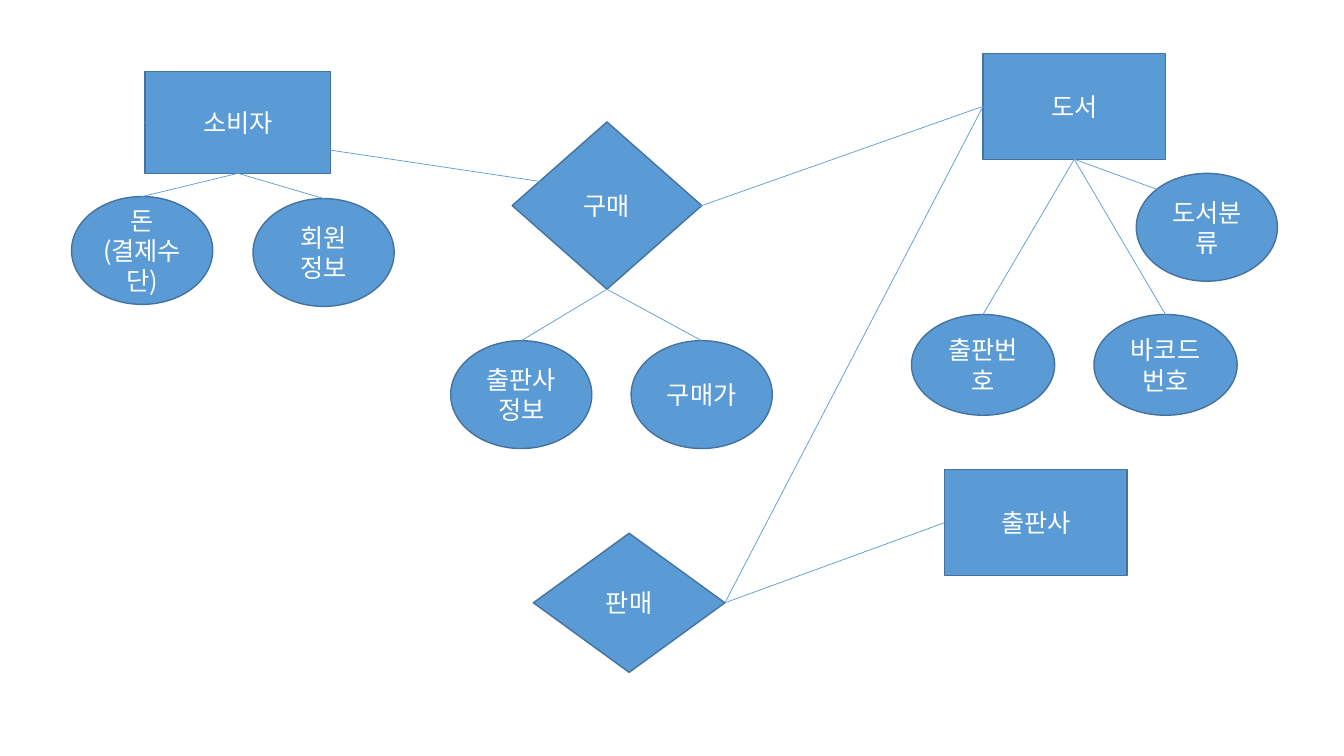
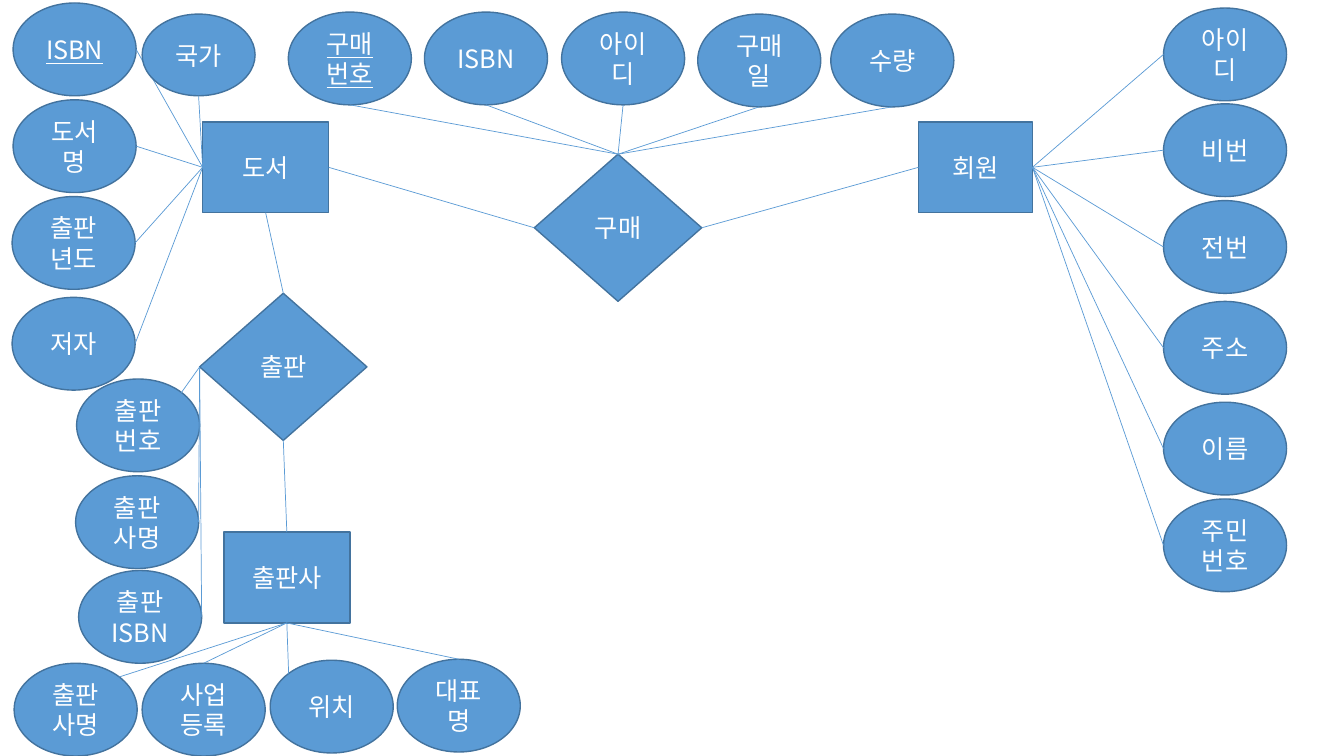
from dataclasses import dataclass
from enum import Enum

from lxml import etree
from pptx import Presentation
from pptx import util as u
from pptx.dml import color
from pptx.enum import lang, shapes, text
from pptx.oxml import ns

FONT = "Noto Sans CJK KR"
BLUE, EDGE, WHITE = "5B9BD5", "43739E", "FFFFFF"
RECT = shapes.MSO_SHAPE.RECTANGLE
OVAL = shapes.MSO_SHAPE.OVAL
GEM = shapes.MSO_SHAPE.DIAMOND
NEAR, FAR = 0.15, 0.85


class Side(Enum):
    """Point on a node's edge, as shares of its width and height."""
    TOP = (0.5, 0)
    LEFT = (0, 0.5)
    BASE = (0.5, 1)
    RIGHT = (1, 0.5)
    TOP_LEFT = (NEAR, NEAR)
    TOP_RIGHT = (FAR, NEAR)


SITES = [Side.TOP, Side.LEFT, Side.BASE, Side.RIGHT]


@dataclass
class Node:
    """An entity, a relation or an attribute."""
    label: str
    x: float
    y: float
    w: float = 1.22
    h: float = 0.92
    form: shapes.MSO_SHAPE = OVAL
    key: bool = False
    shape: object = None

    def spot(self, side: Side) -> tuple:
        """Return the point at a side of the node."""
        across, down = side.value
        return u.Inches(self.x + across * self.w), u.Inches(self.y + down * self.h)


@dataclass
class Leaf:
    """An attribute and the side where its link ends."""
    node: Node
    side: Side


def paint(fmt, code: str) -> None:
    """Give a fill a solid colour."""
    fmt.solid()
    fmt.fore_color.rgb = color.RGBColor.from_string(code)


def write(para, label: str, key: bool) -> None:
    """Add one centred run; a key is underlined."""
    para.alignment = text.PP_ALIGN.CENTER
    run = para.add_run()
    run.text = label
    font = run.font
    font.name, font.size = FONT, u.Pt(18)
    font.language_id = lang.MSO_LANGUAGE_ID.KOREAN
    if key:
        font.underline = True
    paint(font.fill, WHITE)
    east = etree.SubElement(run._r.get_or_add_rPr(), ns.qn("a:ea"))
    east.set("typeface", FONT)


def draw(slide, node: Node) -> None:
    """Draw a node with its label."""
    shape = slide.shapes.add_shape(
        node.form, *map(u.Inches, (node.x, node.y, node.w, node.h)))
    shape.shadow.inherit = False
    paint(shape.fill, BLUE)
    paint(shape.line.fill, EDGE)
    shape.line.width = u.Pt(1)
    frame = shape.text_frame
    frame.word_wrap = True
    frame.vertical_anchor = text.MSO_ANCHOR.MIDDLE
    for i, label in enumerate(node.label.split("\n")):
        para = frame.add_paragraph() if i else frame.paragraphs[0]
        write(para, label, node.key)
    node.shape = shape


def link(slide, start: Node, out: Side, end: Node, into: Side) -> None:
    """Join two nodes, glued where the end is an entity or a relation."""
    line = slide.shapes.add_connector(
        shapes.MSO_CONNECTOR.STRAIGHT, *start.spot(out), *end.spot(into))
    line.begin_connect(start.shape, SITES.index(out))
    if end.form != OVAL:
        line.end_connect(end.shape, SITES.index(into))
    paint(line.line.fill, BLUE)
    line.line.width = u.Pt(0.5)
    etree.SubElement(line._element.spPr, ns.qn("a:effectLst"))


def fan(slide, hub: Node, out: Side, leaves: list[Leaf]) -> None:
    """Draw attributes and link each one to its hub."""
    for leaf in leaves:
        draw(slide, leaf.node)
    for leaf in leaves:
        link(slide, hub, out, leaf.node, leaf.side)


def shop(slide) -> None:
    """Build the first model: buyer, book and publisher."""
    def leaf(label: str, x: float, y: float, side: Side = Side.TOP) -> Leaf:
        """Make an attribute of this slide's usual size."""
        return Leaf(Node(label, x, y, 1.4, 1.07), side)

    book = Node("도서", 9.75, 0.53, 1.81, 1.05, RECT)
    buyer = Node("소비자", 1.44, 0.71, 1.84, 1.01, RECT)
    house = Node("출판사", 9.37, 4.66, 1.81, 1.05, RECT)
    buy = Node("구매", 5.08, 1.21, 1.88, 1.66, GEM)
    sell = Node("판매", 5.29, 5.29, 1.9, 1.38, GEM)
    for node in (book, buyer, house, buy, sell):
        draw(slide, node)

    fan(slide, book, Side.BASE, [
        Leaf(Node("출판번호", 9.04, 3.12, 1.42, 1), Side.TOP),
        Leaf(Node("바코드번호", 10.85, 3.12, 1.42, 1), Side.TOP),
        leaf("도서분류", 11.27, 1.72, Side.TOP_LEFT)])
    fan(slide, buyer, Side.BASE, [
        leaf("돈\n(결제수단)", 0.71, 1.95), leaf("회원\n정보", 2.51, 1.97)])
    fan(slide, buy, Side.BASE, [
        leaf("출판사정보", 4.47, 3.38), leaf("구매가", 6.26, 3.38)])

    link(slide, buy, Side.RIGHT, book, Side.LEFT)
    link(slide, buy, Side.RIGHT, buyer, Side.LEFT)
    link(slide, sell, Side.RIGHT, house, Side.LEFT)
    link(slide, book, Side.LEFT, sell, Side.RIGHT)


def store(slide) -> None:
    """Build the second model: book, member and publisher in detail."""
    def leaf(label: str, x: float, y: float, side: Side, key: bool = False) -> Leaf:
        """Make an attribute of the default size."""
        return Leaf(Node(label, x, y, key=key), side)

    book = Node("도서", 2.01, 1.21, 1.25, 0.9, RECT)
    user = Node("회원", 9.11, 1.21, 1.13, 0.9, RECT)
    house = Node("출판사", 2.22, 5.28, 1.25, 0.9, RECT)
    buy = Node("구매", 5.3, 1.53, 1.66, 1.46, GEM)
    issue = Node("출판", 1.98, 2.91, 1.66, 1.46, GEM)
    for node in (book, user, house, buy, issue):
        draw(slide, node)

    fan(slide, book, Side.LEFT, [
        leaf("ISBN", 0.13, 0.03, Side.RIGHT, True),
        leaf("도서명", 0.13, 0.99, Side.RIGHT),
        leaf("출판년도", 0.12, 1.95, Side.RIGHT),
        leaf("저자", 0.12, 2.95, Side.RIGHT)])
    fan(slide, book, Side.LEFT, [
        Leaf(Node("국가", 1.41, 0.14, 1.12, 0.81), Side.BASE)])
    rows = [("아이디", 0.08), ("비번", 1.03), ("전번", 1.99),
            ("주소", 2.99), ("이름", 3.99), ("주민번호", 4.95)]
    fan(slide, user, Side.RIGHT,
        [leaf(label, 11.54, y, Side.LEFT) for label, y in rows])
    fan(slide, buy, Side.TOP, [
        leaf("구매번호", 2.86, 0.12, Side.BASE, True),
        leaf("ISBN", 4.21, 0.12, Side.BASE),
        leaf("아이디", 5.57, 0.12, Side.BASE),
        leaf("구매일", 6.92, 0.14, Side.BASE),
        leaf("수량", 8.24, 0.14, Side.BASE)])
    fan(slide, house, Side.BASE, [
        leaf("출판사명", 0.14, 6.58, Side.TOP_RIGHT),
        leaf("사업등록", 1.41, 6.58, Side.TOP),
        leaf("위치", 2.68, 6.55, Side.TOP_LEFT),
        leaf("대표명", 3.94, 6.54, Side.TOP)])
    fan(slide, issue, Side.LEFT, [
        leaf("출판번호", 0.76, 3.76, Side.TOP_RIGHT),
        leaf("출판사명", 0.75, 4.72, Side.RIGHT),
        leaf("출판ISBN", 0.78, 5.66, Side.RIGHT)])

    link(slide, book, Side.RIGHT, buy, Side.LEFT)
    link(slide, buy, Side.RIGHT, user, Side.LEFT)
    link(slide, book, Side.BASE, issue, Side.TOP)
    link(slide, issue, Side.BASE, house, Side.TOP)


def main() -> None:
    """Build and save the deck."""
    deck = Presentation()
    deck.slide_width, deck.slide_height = u.Inches(13.33), u.Inches(7.5)
    blank = deck.slide_layouts[6]
    for build in (shop, store):
        build(deck.slides.add_slide(blank))
    deck.save("out.pptx")


main()
